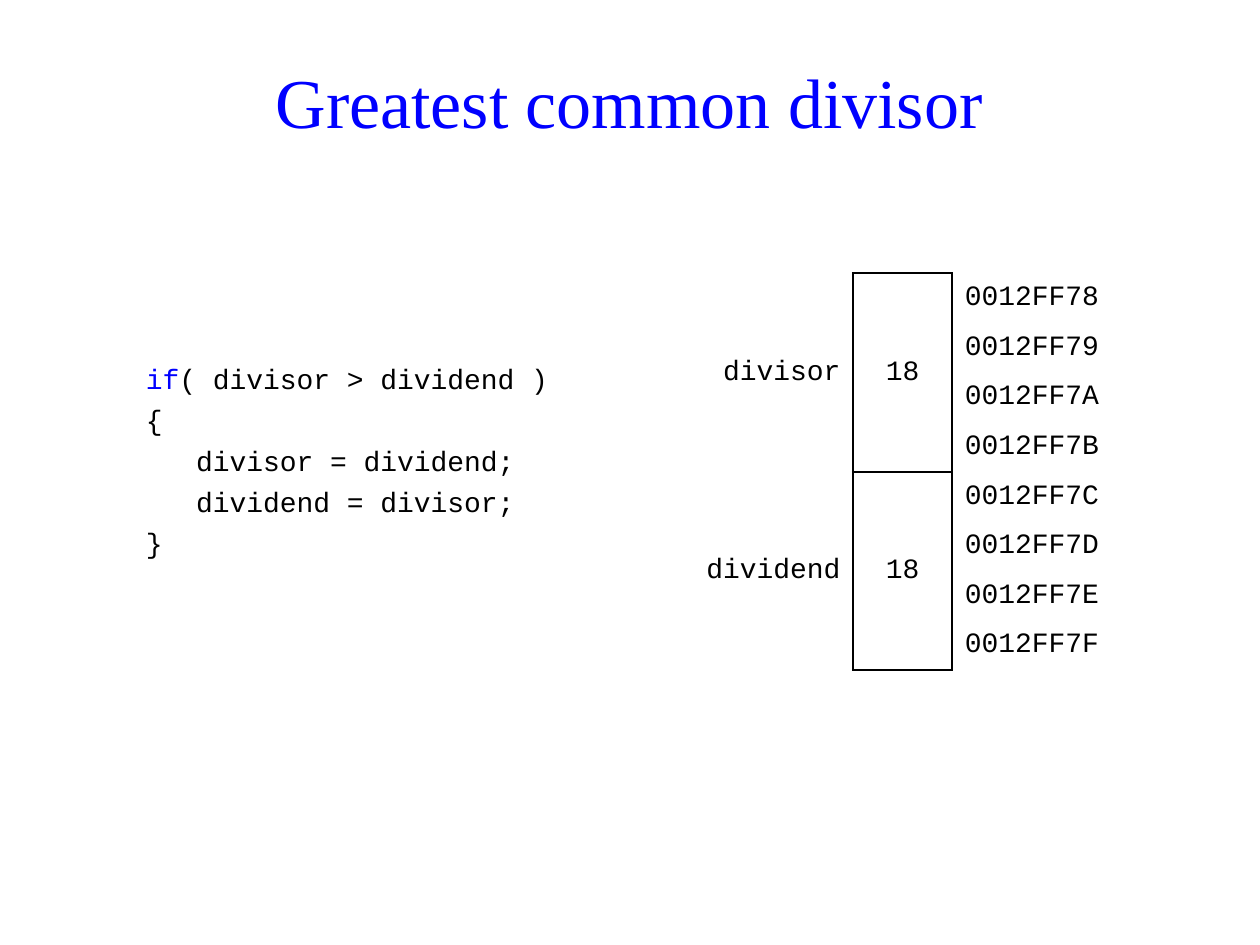
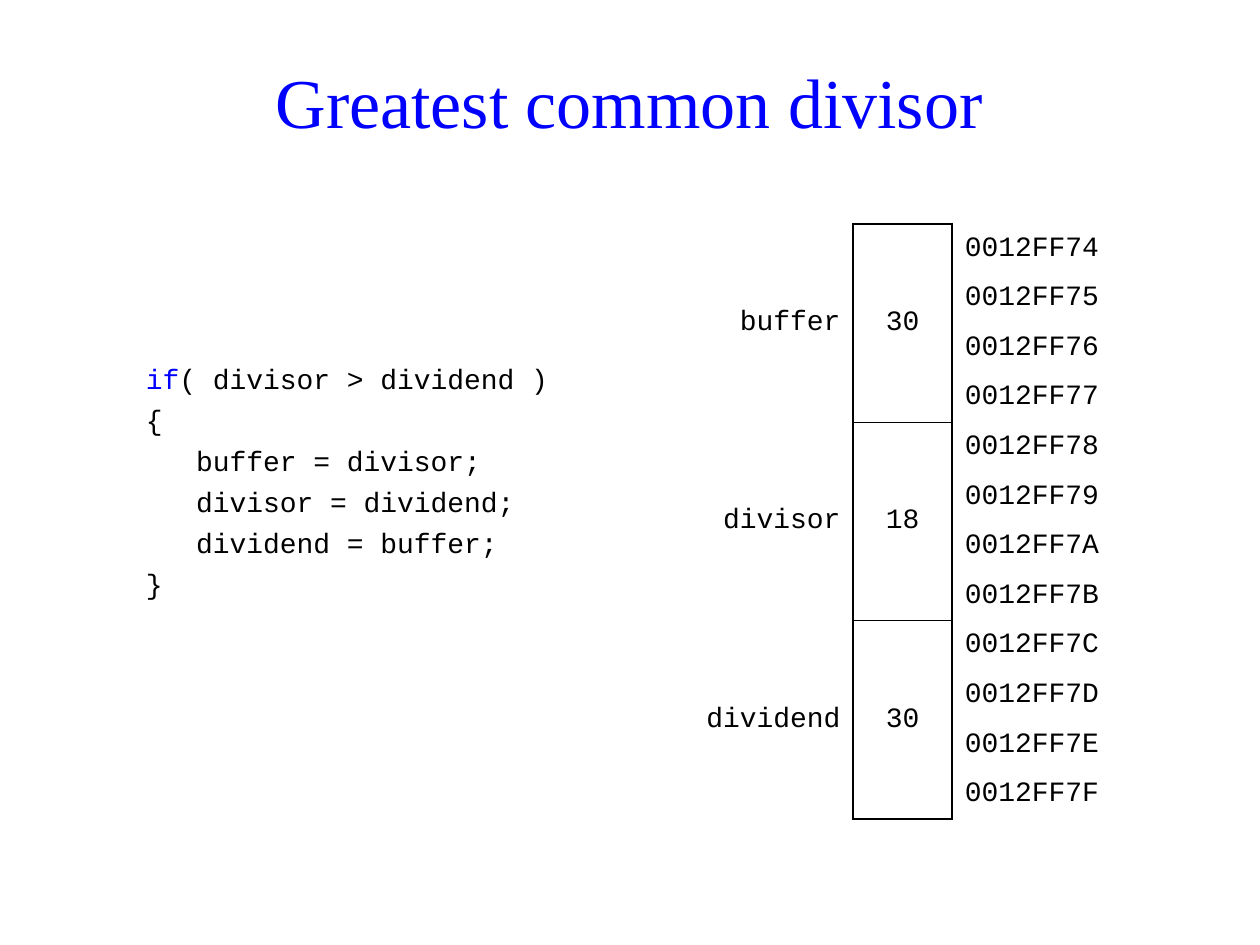
from lxml import etree
from pptx import Presentation
from pptx.dml.color import RGBColor
from pptx.enum.text import MSO_ANCHOR, PP_ALIGN
from pptx.oxml.ns import qn
from pptx.util import Pt

LEFT, CENTER, RIGHT = PP_ALIGN.LEFT, PP_ALIGN.CENTER, PP_ALIGN.RIGHT
TOP, MIDDLE = MSO_ANCHOR.TOP, MSO_ANCHOR.MIDDLE

COLORS = {"title": "0000FF", "keyword": "0000FF", "text": "000000", "border": "000000"}
TITLE_FONT, CODE_FONT = "Times New Roman", "Courier New"
TITLE_SIZE, CODE_SIZE = 40, 16
ROW_HEIGHT = 28.35
COLUMN_WIDTHS = (99.2, 56.7, 99.2)
BYTES = 4  # table rows taken by one variable
LAST_ADDRESS = 0x0012FF7F
OUTER, INNER = 1.5, 1


class Deck:
    """Holds the shared style and the current slide."""

    def __init__(self):
        self.prs = Presentation()
        self.prs.slide_width, self.prs.slide_height = Pt(720), Pt(540)
        self.s = None

    def new_slide(self, title):
        self.s = self.prs.slides.add_slide(self.prs.slide_layouts[6])
        tf = self.text_box(19.4, 15.1, 680.4, 85, title, MIDDLE)
        self.style(tf.paragraphs[0], TITLE_FONT, TITLE_SIZE, "title", CENTER)

    def style(self, p, font=CODE_FONT, size=CODE_SIZE, color="text", align=LEFT):
        p.alignment = align
        for r in p.runs:
            r.font.name, r.font.size = font, Pt(size)
            r.font.color.rgb = RGBColor.from_string(COLORS[color])

    def text_box(self, x, y, w, h, text, anchor=TOP):
        tf = self.s.shapes.add_textbox(Pt(x), Pt(y), Pt(w), Pt(h)).text_frame
        tf.word_wrap = True
        tf.vertical_anchor = anchor
        tf.text = text
        return tf

    def code(self, keyword, lines):
        tf = self.text_box(76.3, 199.4, 255, 14.4 + 22.6 * len(lines), "\n".join(lines))
        tf.margin_top = Pt(7)
        for p in tf.paragraphs[1:]:
            p.space_before = Pt(4.3)
        # Split the keyword off the first line
        first = tf.paragraphs[0]
        first.text = keyword
        first.add_run().text = lines[0][len(keyword):]
        for p in tf.paragraphs:
            self.style(p)
        first.runs[0].font.color.rgb = RGBColor.from_string(COLORS["keyword"])

    def cell(self, cell, text, align, left=0, right=0, top=0, bottom=0):
        cell.vertical_anchor = MIDDLE
        cell.margin_top = cell.margin_bottom = Pt(3)
        cell.text_frame.text = text
        self.style(cell.text_frame.paragraphs[0], align=align)
        tc_pr = cell._tc.get_or_add_tcPr()
        for side, width in zip("LRTB", (left, right, top, bottom)):
            ln = etree.SubElement(tc_pr, qn(f"a:ln{side}"), w=str(Pt(width)))
            if width:
                fill = etree.SubElement(ln, qn("a:solidFill"))
                etree.SubElement(fill, qn("a:srgbClr"), val=COLORS["border"])
            else:
                etree.SubElement(ln, qn("a:noFill"))
        cell.fill.background()

    def memory(self, y, variables):
        rows = BYTES * len(variables)
        frame = self.s.shapes.add_table(rows, 3, Pt(388.3), Pt(y),
                                        Pt(sum(COLUMN_WIDTHS)), Pt(rows * ROW_HEIGHT))
        table = frame.table
        table.first_row = table.horz_banding = False
        for column, width in zip(table.columns, COLUMN_WIDTHS):
            column.width = Pt(width)
        for i, row in enumerate(table.rows):
            row.height = Pt(ROW_HEIGHT)
            # Name and value show in the first row of each variable
            index, byte = divmod(i, BYTES)
            name, value = variables[index] if byte == 0 else ("", "")
            top = 0 if byte else INNER if i else OUTER
            bottom = 0 if byte < BYTES - 1 else INNER if i < rows - 1 else OUTER
            if byte == 0:
                bottom = INNER if index < len(variables) - 1 else OUTER
            self.cell(table.cell(i, 0), name, RIGHT, right=OUTER)
            self.cell(table.cell(i, 1), value, CENTER, OUTER, OUTER, top, bottom)
            address = f"{LAST_ADDRESS - rows + 1 + i:08X}"
            self.cell(table.cell(i, 2), address, LEFT, left=OUTER)
        # One merged block per variable
        for start in range(0, rows, BYTES):
            for col in (0, 1):
                table.cell(start, col).merge(table.cell(start + BYTES - 1, col))


def main():
    deck = Deck()
    title, condition = "Greatest common divisor", "if( divisor > dividend )"

    # Swap without a buffer
    deck.new_slide(title)
    deck.code("if", [condition, "{", "   divisor = dividend;", "   dividend = divisor;", "}"])
    deck.memory(156.2, [("divisor", "18"), ("dividend", "18")])

    # Swap through a buffer
    deck.new_slide(title)
    deck.code("if", [condition, "{", "   buffer = divisor;", "   divisor = dividend;",
                     "   dividend = buffer;", "}"])
    deck.memory(127.9, [("buffer", "30"), ("divisor", "18"), ("dividend", "30")])

    deck.prs.save("out.pptx")


if __name__ == "__main__":
    main()
